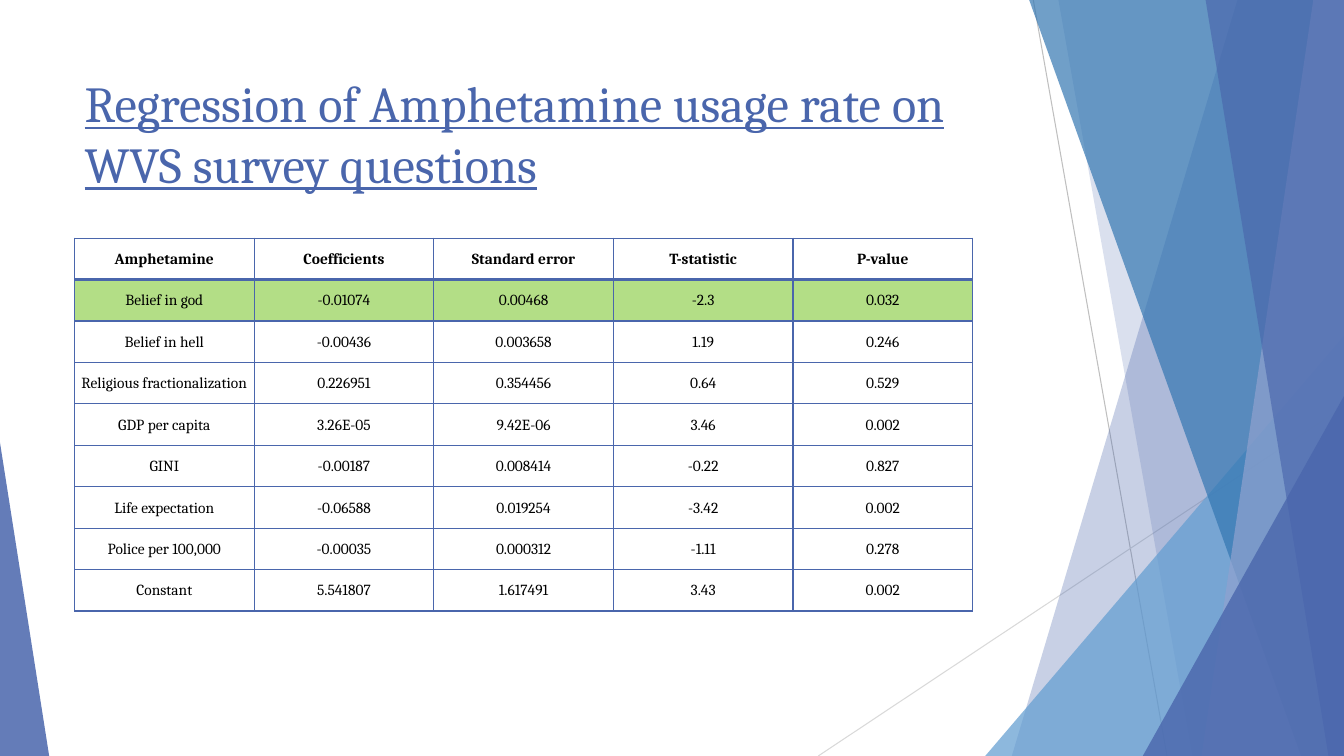
from lxml.etree import SubElement
from pptx import Presentation
from pptx.dml.color import RGBColor
from pptx.enum.shapes import MSO_CONNECTOR, MSO_SHAPE
from pptx.enum.text import MSO_ANCHOR, PP_ALIGN
from pptx.oxml import parse_xml
from pptx.oxml.ns import nsdecls, qn
from pptx.util import Cm, Pt

COLORS = {"navy": "4A66AC", "sky": "629DD1", "steel": "3477B2", "haze": "90A2CF",
          "gray": "BFBFBF", "pale": "D9D9D9", "green": "92D050", "black": "000000"}
FONT = "Cambria"
ROWS = [
    ["Amphetamine", "Coefficients", "Standard error", "T-statistic", "P-value"],
    ["Belief in god", "-0.01074", "0.00468", "-2.3", "0.032"],
    ["Belief in hell", "-0.00436", "0.003658", "1.19", "0.246"],
    ["Religious fractionalization", "0.226951", "0.354456", "0.64", "0.529"],
    ["GDP per capita", "3.26E-05", "9.42E-06", "3.46", "0.002"],
    ["GINI", "-0.00187", "0.008414", "-0.22", "0.827"],
    ["Life expectation", "-0.06588", "0.019254", "-3.42", "0.002"],
    ["Police per 100,000", "-0.00035", "0.000312", "-1.11", "0.278"],
    ["Constant", "5.541807", "1.617491", "3.43", "0.002"],
]


def set_all(obj, **values):
    """Set several attributes of one object."""
    for name, value in values.items():
        setattr(obj, name, value)


def style_font(font, color, **values):
    """Give a font the slide's typeface, a colour and further formats."""
    set_all(font, name=FONT, **values)
    font.color.rgb = RGBColor.from_string(COLORS[color])


def fill_solid(fill, color, alpha):
    """Fill with a colour at the given opacity in percent."""
    fill.solid()
    fill.fore_color.rgb = RGBColor.from_string(COLORS[color])
    srgb = fill._xPr.find(".//" + qn("a:srgbClr"))
    SubElement(srgb, qn("a:alpha")).set("val", str(alpha * 1000))


def finish_facet(sp, color, alpha):
    """Make a shape a flat, translucent facet."""
    sp.shadow.inherit = False
    sp.line.fill.background()
    fill_solid(sp.fill, color, alpha)


def add_ray(s, x1, y1, x2, y2, color):
    """Draw a thin background line."""
    cxn = s.shapes.add_connector(MSO_CONNECTOR.STRAIGHT, x1, y1, x2, y2)
    cxn.line.width = Pt(0.75)
    cxn.line.color.rgb = RGBColor.from_string(COLORS[color])
    SubElement(cxn._element.spPr, qn("a:effectLst"))


def add_band(s, top_x, bottom_x, right, bottom, color, alpha):
    """Draw a facet with a slanted left edge that runs to the right edge."""
    top = Cm(-0.02)
    fb = s.shapes.build_freeform(top_x, top)
    fb.add_line_segments([(right, top), (right, bottom), (bottom_x, bottom)])
    finish_facet(fb.convert_to_shape(), color, alpha)


def add_corner(s, x, bottom, w, h, apex, color, alpha):
    """Draw a right-angled facet that stands on the bottom edge."""
    sp = s.shapes.add_shape(MSO_SHAPE.ISOSCELES_TRIANGLE, x, bottom - h, w, h)
    sp.adjustments[0] = apex
    finish_facet(sp, color, alpha)


def add_facets(s, w, h):
    """Decorate the edges of a slide of the given size, back to front."""
    add_ray(s, Cm(26.04), 0, Cm(29.41), h, "gray")
    add_ray(s, w, Cm(10.24), Cm(20.62), h, "pale")
    add_band(s, Cm(31.19), Cm(25.5), w, h, "navy", 30)
    add_band(s, Cm(26.67), Cm(30.05), w, h, "navy", 20)
    add_corner(s, w - Cm(9.04), h, Cm(9.04), Cm(10.59), 1, "sky", 72)
    add_band(s, Cm(25.93), Cm(32.79), w, h, "steel", 70)
    add_band(s, Cm(33.1), Cm(30.28), w, h, "haze", 70)
    add_band(s, Cm(30.38), Cm(33.48), w, h, "navy", 65)
    add_corner(s, w - Cm(5.07), h, Cm(5.07), Cm(9.07), 1, "navy", 80)
    add_corner(s, 0, h, Cm(1.24), Cm(7.9), 0, "navy", 85)


def add_title(s, x, y, w, h):
    """Place the underlined title in front of the facets."""
    sp = s.shapes.title
    set_all(sp, left=x, top=y, width=w, height=h)
    tf = sp.text_frame
    set_all(tf, word_wrap=True, vertical_anchor=MSO_ANCHOR.TOP)
    p = tf.paragraphs[0]
    p.alignment = PP_ALIGN.LEFT
    r = p.add_run()
    r.text = "Regression of Amphetamine usage rate on WVS survey questions"
    style_font(r.font, "navy", size=Pt(36), underline=True)
    s.shapes._spTree.append(sp._element)


def set_borders(cell, **widths):
    """Draw cell borders; keys are the sides L, R, T, B, widths in points."""
    tcPr = cell._tc.get_or_add_tcPr()
    for i, side in enumerate("LRTB"):
        tcPr.insert(i, parse_xml(
            f'<a:ln{side} {nsdecls("a")} w="{Pt(widths.get(side, 1))}"><a:solidFill>'
            f'<a:srgbClr val="{COLORS["navy"]}"/></a:solidFill></a:ln{side}>'))


def add_results(s, x, y, w, h):
    """Place the regression table, with the significant belief highlighted."""
    n_rows, n_cols = len(ROWS), len(ROWS[0])
    table = s.shapes.add_table(n_rows, n_cols, x, y, w, h).table
    set_all(table, first_row=False, horz_banding=False)
    for col in table.columns:
        col.width = w // n_cols
    for i, values in enumerate(ROWS):
        table.rows[i].height = h // n_rows
        for j, value in enumerate(values):
            cell = table.cell(i, j)
            set_all(cell, vertical_anchor=MSO_ANCHOR.MIDDLE, margin_left=Cm(0.03),
                    margin_right=Cm(0.03), margin_top=Cm(0.03), margin_bottom=0)
            p = cell.text_frame.paragraphs[0]
            p.alignment = PP_ALIGN.CENTER
            r = p.add_run()
            r.text = value
            style_font(r.font, "black", size=Pt(11), bold=i == 0)
            if i == 1:
                fill_solid(cell.fill, "green", 69)
            else:
                cell.fill.background()
            set_borders(cell, T=2 if i == 1 else 1, B=2 if i == 0 else 1)


prs = Presentation()
set_all(prs, slide_width=Cm(33.87), slide_height=Cm(19.05))
s = prs.slides.add_slide(prs.slide_layouts[5])
add_facets(s, prs.slide_width, prs.slide_height)
add_title(s, Cm(1.88), Cm(1.7), Cm(23.88), Cm(3.66))
add_results(s, Cm(1.88), Cm(6), Cm(22.63), Cm(9.4))
prs.save("out.pptx")
